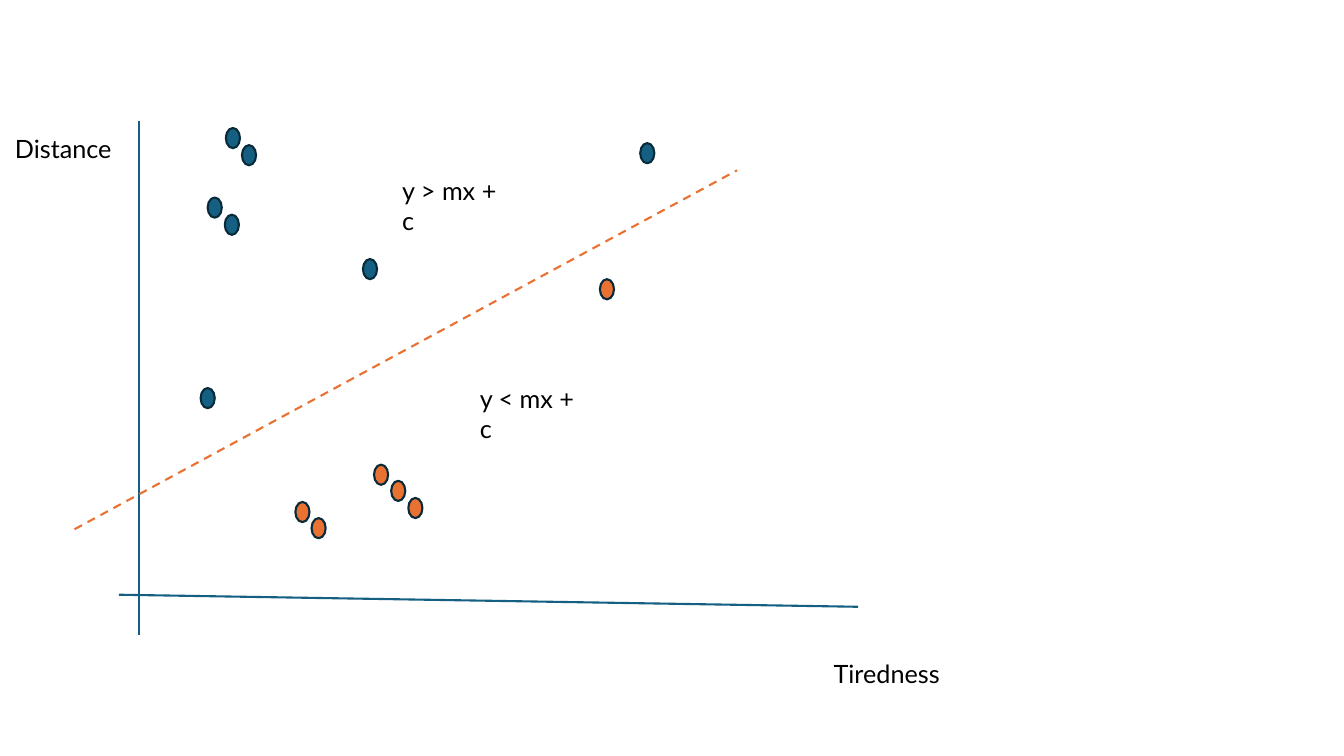
from lxml.etree import SubElement
from pptx import Presentation
from pptx.dml.color import RGBColor
from pptx.enum.dml import MSO_LINE_DASH_STYLE as Dash
from pptx.enum.shapes import MSO_CONNECTOR as Connector, MSO_SHAPE as Shape
from pptx.enum.text import MSO_AUTO_SIZE as AutoSize
from pptx.oxml.ns import qn
from pptx.util import Emu, Pt

# Content: lengths in px, 100 px to the inch
SLIDE_SIZE = (1333, 750)
COLORS = {"above": "156082", "below": "E97132", "outline": "092A39",
          "axis": "156082", "boundary": "E97132", "text": "000000"}
FONT, FONT_SIZE, LINE_WIDTH = "Lato", Pt(18), Pt(1.5)

# (start x, start y, end x, end y), colour, dash style
LINES = [
    ((138, 120, 138, 630), "axis", None),
    ((118, 590, 851, 602), "axis", None),
    ((74, 525, 731, 169), "boundary", Dash.DASH),
]

# text, left, top, width, wraps
LABEL_HEIGHT = 40
LABELS = [
    ("y > mx + c", 389, 169, 125, True),
    ("y < mx + c", 466, 375, 125, True),
    ("Distance", 5, 127, 123, False),
    ("Tiredness", 817, 648, 126, False),
]

# Top left corner of each point, by side of the boundary
POINT_SIZE = (14, 20)
POINTS = {
    "above": [(224, 127), (240, 144), (206, 196), (223, 213),
              (360, 257), (199, 385), (635, 142)],
    "below": [(595, 277), (371, 461), (388, 477), (293, 498),
              (405, 494), (309, 514)],
}


def px(*lengths):
    return [Emu(length * 9144) for length in lengths]


def color(name):
    return RGBColor.from_string(COLORS[name])


def style_line(line, color_name):
    line.color.rgb = color(color_name)
    line.width = LINE_WIDTH


presentation = Presentation()
presentation.slide_width, presentation.slide_height = px(*SLIDE_SIZE)
slide = presentation.slides.add_slide(presentation.slide_layouts[6])
shapes = slide.shapes

# Axes and decision boundary
for ends, color_name, dash in LINES:
    connector = shapes.add_connector(Connector.STRAIGHT, *px(*ends))
    style_line(connector.line, color_name)
    if dash:
        connector.line.dash_style = dash
    SubElement(connector._element.spPr, qn("a:effectLst"))

# Axis names and region labels
for text, left, top, width, wraps in LABELS:
    label = shapes.add_textbox(*px(left, top, width, LABEL_HEIGHT)).text_frame
    label.word_wrap = wraps
    label.auto_size = AutoSize.SHAPE_TO_FIT_TEXT
    paragraph = label.paragraphs[0]
    paragraph.text = text
    paragraph.font.name = FONT
    paragraph.font.size = FONT_SIZE
    paragraph.font.color.rgb = color("text")

# Data points
for side, corners in POINTS.items():
    for corner in corners:
        point = shapes.add_shape(Shape.OVAL, *px(*corner, *POINT_SIZE))
        point.shadow.inherit = False
        point.fill.solid()
        point.fill.fore_color.rgb = color(side)
        style_line(point.line, "outline")

presentation.save("out.pptx")
